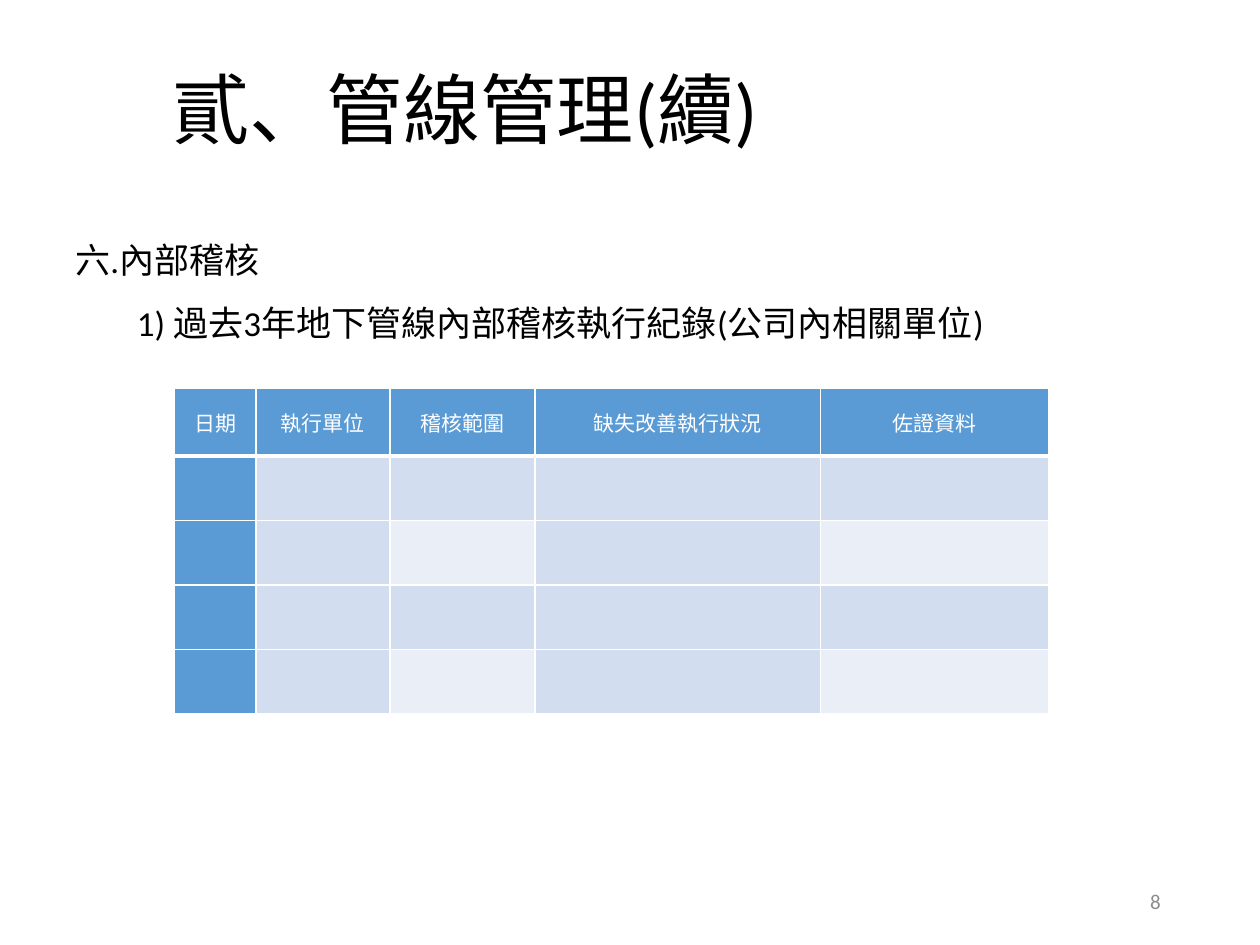
from lxml.etree import SubElement
from pptx import Presentation
from pptx.dml.color import RGBColor
from pptx.enum.text import MSO_ANCHOR, PP_ALIGN
from pptx.oxml.ns import qn
from pptx.util import Cm, Pt

TITLE = "貳、管線管理(續)"
BODY = [
    ("六.內部稽核", 0),
    ("1) 過去3年地下管線內部稽核執行紀錄(公司內相關單位)", 1.24),
]
PAGE = "8"
HEADERS = [
    ("日期", 1.65, None),
    ("執行單位", 2.7, None),
    ("稽核範圍", 2.92, Pt(18)),
    ("缺失改善執行狀況", 5.76, Pt(18)),
    ("佐證資料", 4.6, Pt(18)),
]
ROW_HEIGHTS = [1.37] + [1.3] * 4
BLUE, LIGHT, PALE, WHITE = "5B9BD5", "D2DEEF", "EAEFF7", "FFFFFF"
LATIN, EAST_ASIAN = "Calibri", "Noto Sans CJK SC"


def rgb(value):
    return RGBColor.from_string(value)


def write(p, text, size, color, spacing=None):
    r = p.add_run()
    r.text = text
    p.font.name, p.font.size = LATIN, Pt(size)
    p.font.color.rgb = rgb(color)
    r.font.name, r.font.size = LATIN, Pt(size)
    r.font.color.rgb = rgb(color)
    props = r.font._element
    SubElement(props, qn("a:ea"), typeface=EAST_ASIAN)
    if spacing:
        props.set("spc", str(spacing))


def add_box(slide, left, top, width, height, margin=None):
    tf = slide.shapes.add_textbox(Cm(left), Cm(top), Cm(width), Cm(height)).text_frame
    tf.word_wrap = True
    tf.vertical_anchor = MSO_ANCHOR.MIDDLE
    if margin is not None:
        tf.margin_left = tf.margin_right = tf.margin_top = tf.margin_bottom = Cm(margin)
    return tf


def set_borders(cell, widths):
    props = cell._tc.get_or_add_tcPr()
    for i, (side, width) in enumerate(widths.items()):
        line = props.makeelement(qn(f"a:ln{side}"), {"w": str(Pt(width))})
        fill = SubElement(line, qn("a:solidFill"))
        SubElement(fill, qn("a:srgbClr"), val=WHITE)
        props.insert(i, line)


def fill_color(row, col):
    if row == 0 or col == 0:
        return BLUE
    return PALE if row % 2 == 0 and col in (2, 4) else LIGHT


def add_audit_table(slide):
    widths = [width for _, width, _ in HEADERS]
    table = slide.shapes.add_table(
        len(ROW_HEIGHTS), len(HEADERS), Cm(3.51), Cm(7.82),
        Cm(sum(widths)), Cm(sum(ROW_HEIGHTS)),
    ).table
    for col, width in zip(table.columns, widths):
        col.width = Cm(width)
    for row, height in zip(table.rows, ROW_HEIGHTS):
        row.height = Cm(height)
    for i in range(len(ROW_HEIGHTS)):
        for j, (text, _, line_spacing) in enumerate(HEADERS):
            cell = table.cell(i, j)
            cell.fill.solid()
            cell.fill.fore_color.rgb = rgb(fill_color(i, j))
            cell.vertical_anchor = MSO_ANCHOR.MIDDLE
            cell.margin_left = cell.margin_right = Cm(0.18)
            cell.margin_top = cell.margin_bottom = 0
            set_borders(cell, {"L": 1, "R": 1, "T": 3 if i == 1 else 1, "B": 3 if i == 0 else 1})
            if i == 0:
                p = cell.text_frame.paragraphs[0]
                p.alignment = PP_ALIGN.CENTER
                p.line_spacing = line_spacing
                write(p, text, 12, WHITE)


def main():
    prs = Presentation()
    prs.slide_width, prs.slide_height = Cm(25.4), Cm(19.05)
    s = prs.slides.add_slide(prs.slide_layouts[6])

    p = add_box(s, 3.48, 1.45, 19.38, 1.7, 0).paragraphs[0]
    p.line_spacing = 0.9
    write(p, TITLE, 44, "000000", -10)

    tf = add_box(s, 1.27, 4.24, 23.7, 2.82)
    for i, (text, indent) in enumerate(BODY):
        p = tf.add_paragraph() if i else tf.paragraphs[0]
        p.line_spacing = 1.5
        p._p.get_or_add_pPr().set("marL", str(Cm(indent)))
        write(p, text, 20, "000000")

    add_audit_table(s)

    p = add_box(s, 17.93, 17.65, 5.72, 1.02).paragraphs[0]
    p.alignment = PP_ALIGN.RIGHT
    write(p, PAGE, 12, "8C8C8C")

    prs.save("out.pptx")


if __name__ == "__main__":
    main()
